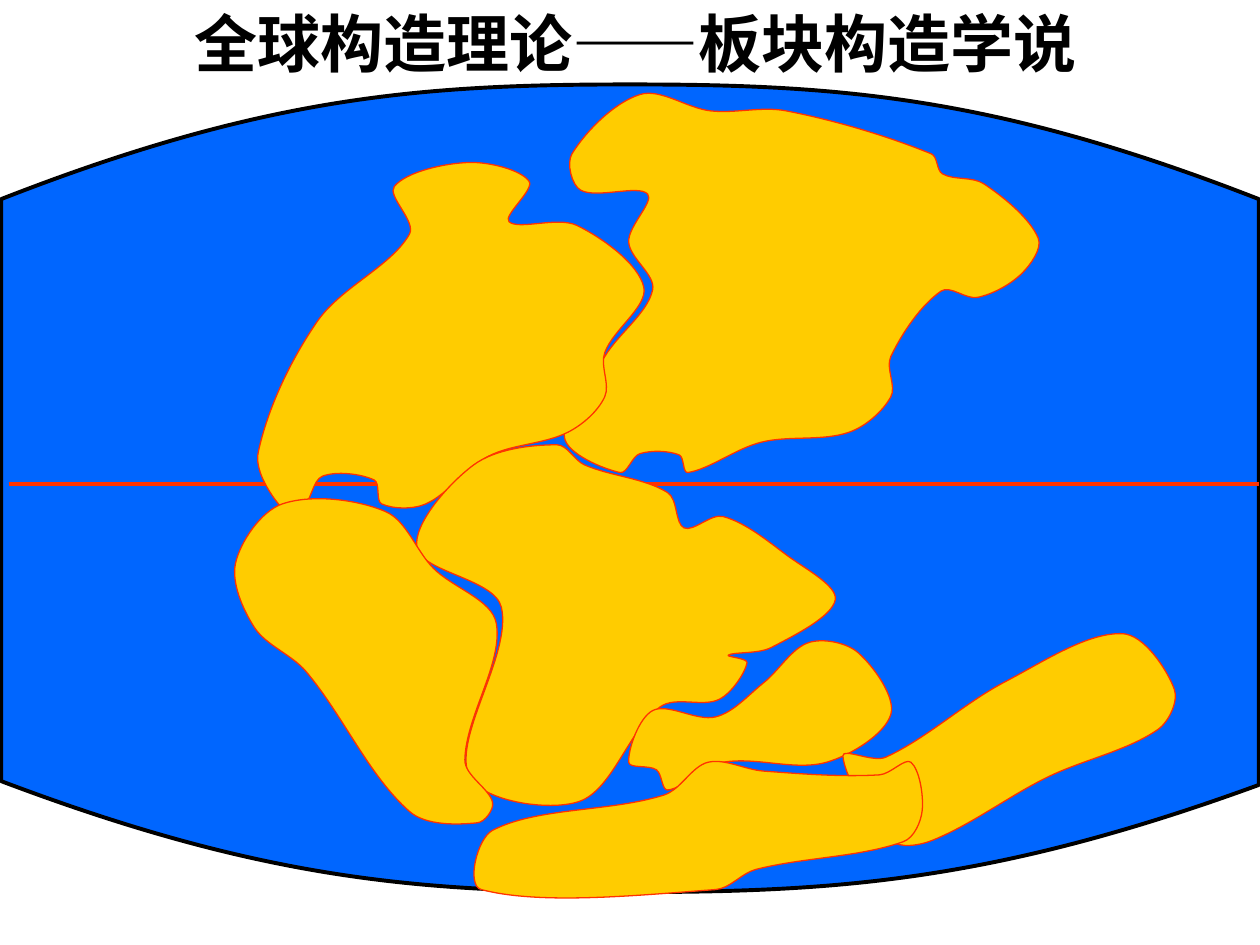
from dataclasses import dataclass
from math import dist

from lxml.etree import SubElement
from pptx import Presentation
from pptx.dml.color import RGBColor as RGB
from pptx.enum.shapes import MSO_CONNECTOR as CONN
from pptx.enum.text import MSO_ANCHOR as ANCHOR, PP_ALIGN as ALIGN
from pptx.oxml.ns import qn
from pptx.util import Pt

GRID = 0.72  # points per map unit


@dataclass(frozen=True)
class Theme:
    font: str = "Times New Roman"
    title_size: int = 36
    ink: RGB = RGB.from_string("000000")
    ocean: RGB = RGB.from_string("0066FF")
    land: RGB = RGB.from_string("FFCC00")
    accent: RGB = RGB.from_string("FF3300")
    thick: float = 2.25
    thin: float = 0.75


# Map units. Coast points, joined by a smooth curve.
CONTINENTS = {
    "Eurasia": [
        (454, 122), (508, 75), (564, 88), (624, 88), (739, 122), (748, 138),
        (781, 146), (824, 189), (811, 217), (776, 236), (747, 231), (707, 283),
        (707, 315), (674, 343), (604, 351), (546, 375), (539, 361), (508, 360),
        (492, 375), (448, 347), (480, 283), (518, 230), (499, 192), (514, 154),
        (461, 151)],
    "North America": [
        (313, 148), (372, 129), (420, 144), (404, 176), (458, 179), (511, 228),
        (480, 280), (480, 315), (451, 343), (388, 362), (338, 400), (303, 400),
        (297, 381), (256, 378), (240, 403), (221, 400), (205, 359), (252, 255),
        (325, 186)],
    "Africa": [
        (376, 369), (442, 353), (464, 369), (530, 391), (543, 419), (574, 410),
        (625, 441), (663, 476), (612, 514), (578, 520), (593, 526), (571, 555),
        (524, 561), (460, 636), (372, 615), (398, 482), (331, 435)],
    "South America": [
        (224, 400), (306, 406), (344, 451), (394, 495), (369, 603), (391, 637),
        (379, 653), (325, 644), (243, 533), (202, 498), (187, 447)],
    "India": [
        (606, 542), (642, 510), (681, 518), (707, 567), (656, 605), (574, 605),
        (530, 627), (521, 611), (499, 605), (518, 564), (568, 569)],
    "Australia": [
        (798, 541), (891, 503), (932, 547), (919, 579), (831, 617), (740, 667),
        (707, 667), (669, 600), (703, 601)],
    "Antarctica": [
        (527, 631), (562, 605), (606, 612), (698, 615), (723, 605), (732, 643),
        (717, 668), (600, 690), (568, 706), (382, 706), (391, 659)],
}


def smooth(coast):
    """Return the closed curve through the coast points, controls included."""
    n = len(coast)

    def handle(i, other):
        """Control beside point i, sized by the distance to its neighbour."""
        before, here, after = coast[i - 1], coast[i], coast[(i + 1) % n]
        share = dist(here, other) / (dist(before, here) + dist(here, after)) / 3
        if other == before:
            share = -share
        return tuple(h + (a - b) * share for b, h, a in zip(before, here, after))

    curve = [coast[0]]
    for i, start in enumerate(coast):
        j = (i + 1) % n
        curve += [handle(i, coast[j]), handle(j, start), coast[j]]
    return curve


def globe(left, right, top, bottom):
    """Return an outline with straight sides and bulging top and bottom.

    Top and bottom are each (height at left corner, apex, right corner).
    """
    mid = (left + right) / 2

    def corner_controls(x, y, apex):
        return [(x + 0.42 * (mid - x), y + 0.9 * (apex - y)),
                (x + 0.67 * (mid - x), apex)]

    def arc(x1, y1, apex, x2, y2):
        return [*corner_controls(x1, y1, apex), (mid, apex),
                *corner_controls(x2, y2, apex)[::-1], (x2, y2)]

    (top_l, top_apex, top_r), (low_l, low_apex, low_r) = top, bottom
    side_l, side_r = (left, low_l), (right, top_r)
    return [(left, top_l), (left, top_l), side_l, side_l,
            *arc(left, low_l, low_apex, right, low_r),
            (right, low_r), side_r, side_r,
            *arc(right, top_r, top_apex, left, top_l)]


class SlideBuilder:
    """Holds the theme and the slide being drawn."""

    def __init__(self, s, theme):
        self.s = s
        self.theme = theme

    def title(self, text, x, y, w, h):
        sp = self.s.shapes.add_textbox(Pt(x), Pt(y), Pt(w), Pt(h))
        tf = sp.text_frame
        tf.word_wrap = True
        tf.vertical_anchor = ANCHOR.MIDDLE
        p = tf.paragraphs[0]
        p.text = text
        p.alignment = ALIGN.CENTER
        p.font.name = self.theme.font
        p.font.size = Pt(self.theme.title_size)
        p.font.bold = True
        p.font.color.rgb = self.theme.ink

    def curved_area(self, curve, fill, line, width):
        points = [(Pt(x * GRID), Pt(y * GRID)) for x, y in curve]
        builder = self.s.shapes.build_freeform(*points[0])
        builder.add_line_segments(points[1:], close=True)
        sp = builder.convert_to_shape()
        self.bend(sp)
        sp.shadow.inherit = False
        sp.fill.solid()
        sp.fill.fore_color.rgb = fill
        sp.line.color.rgb = line
        sp.line.width = Pt(width)

    @staticmethod
    def bend(sp):
        """Turn each three straight segments into one Bezier segment."""
        segments = list(sp._element.iter(qn("a:lnTo")))
        for i in range(0, len(segments), 3):
            first, *rest = segments[i:i + 3]
            curve = first.getparent().makeelement(qn("a:cubicBezTo"))
            first.addprevious(curve)
            for segment in (first, *rest):
                curve.append(segment[0])
                segment.getparent().remove(segment)

    def line(self, x1, y1, x2, y2, color, width):
        c = self.s.shapes.add_connector(CONN.STRAIGHT, Pt(x1), Pt(y1), Pt(x2), Pt(y2))
        c.line.color.rgb = color
        c.line.width = Pt(width)
        SubElement(c._element.spPr, qn("a:effectLst"))


def main():
    prs = Presentation()
    prs.slide_width, prs.slide_height = Pt(720), Pt(540)
    theme = Theme()
    slide = SlideBuilder(prs.slides.add_slide(prs.slide_layouts[6]), theme)

    slide.title("全球构造理论——板块构造学说", 18, 0, 690, 48)
    ocean = globe(1, 999, top=(158, 67, 158), bottom=(620, 708, 623))
    slide.curved_area(ocean, theme.ocean, theme.ink, theme.thick)
    slide.line(5, 276.5, 719.5, 276.5, theme.accent, theme.thick)
    for coast in CONTINENTS.values():
        slide.curved_area(smooth(coast), theme.land, theme.accent, theme.thin)

    prs.save("out.pptx")


if __name__ == "__main__":
    main()
